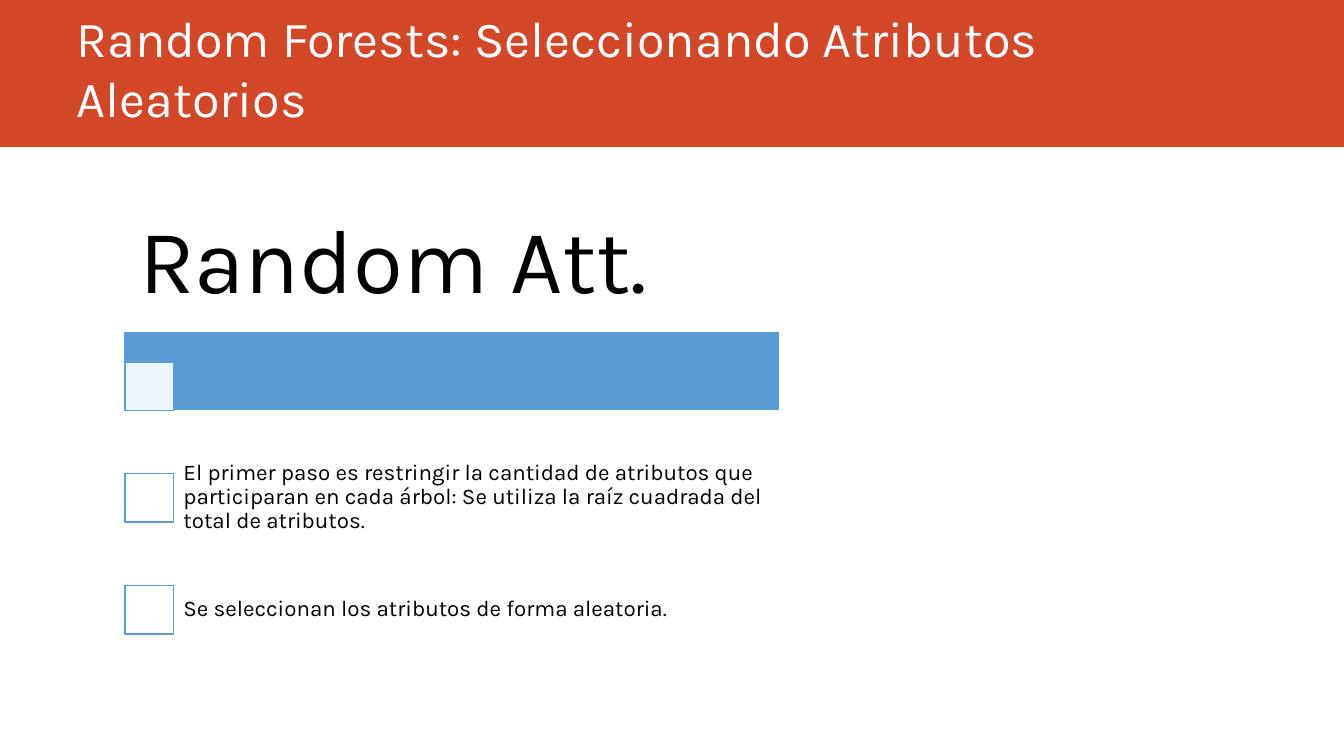
import dataclasses

import lxml.etree
import pptx
import pptx.dml.color
import pptx.enum.shapes
import pptx.enum.text
import pptx.oxml.ns
import pptx.util

PX = 9144
FONT = "Karla"
HUES = {
    "band": "D24726",
    "blue": "5B9BD5",
    "white": "FFFFFF",
    "black": "000000",
}


@dataclasses.dataclass
class Box:
    x: int
    y: int
    w: int
    h: int

    def emu(self) -> list[int]:
        return [n * PX for n in (self.x, self.y, self.w, self.h)]


@dataclasses.dataclass
class Rect:
    box: Box
    fill: str
    line: str | None = "blue"
    alpha: int = 100


def tint(name: str) -> pptx.dml.color.RGBColor:
    return pptx.dml.color.RGBColor.from_string(HUES[name])


def draw(slide, rect: Rect):
    shape = slide.shapes.add_shape(
        pptx.enum.shapes.MSO_SHAPE.RECTANGLE, *rect.box.emu())
    shape.shadow.inherit = False
    shape.fill.solid()
    shape.fill.fore_color.rgb = tint(rect.fill)
    if rect.alpha < 100:
        qn = pptx.oxml.ns.qn
        color = shape._element.spPr.find(qn("a:solidFill")).find(qn("a:srgbClr"))
        lxml.etree.SubElement(color, qn("a:alpha"), val=str(rect.alpha * 1000))
    if rect.line:
        shape.line.color.rgb = tint(rect.line)
        shape.line.width = pptx.util.Pt(1)
    else:
        shape.line.fill.background()
    return shape


def write(shape, text: str, *, size: int, hue: str = "black",
          anchor: str = "MIDDLE", pad: tuple[int, int] = (10, 5),
          gap: float = 1.0, after: float = 0) -> None:
    frame = shape.text_frame
    frame.text = text
    frame.word_wrap = True
    frame.auto_size = pptx.enum.text.MSO_AUTO_SIZE.NONE
    frame.vertical_anchor = pptx.enum.text.MSO_ANCHOR[anchor]
    frame.margin_left = frame.margin_right = pad[0] * PX
    frame.margin_top = frame.margin_bottom = pad[1] * PX
    para = frame.paragraphs[0]
    para.alignment = pptx.enum.text.PP_ALIGN.LEFT
    para.line_spacing = gap
    para.space_after = pptx.util.Pt(after)
    font = para.runs[0].font
    font.name = FONT
    font.size = pptx.util.Pt(size)
    font.color.rgb = tint(hue)


def label(slide, box: Box, text: str, *, size: int,
          pad: tuple[int, int]) -> None:
    shape = slide.shapes.add_textbox(*box.emu())
    write(shape, text, size=size, pad=pad, gap=0.9, after=size * 0.35)


def main() -> None:
    deck = pptx.Presentation()
    deck.slide_width = 1333 * PX
    deck.slide_height = 750 * PX
    slide = deck.slides.add_slide(deck.slide_layouts[5])

    draw(slide, Rect(Box(0, 0, 1333, 146), "band", None))
    title = slide.shapes.title
    slide.shapes._spTree.append(title._element)
    title.left, title.top, title.width, title.height = Box(66, 0, 1176, 132).emu()
    write(title, "Random Forests: Seleccionando Atributos Aleatorios",
          size=36, hue="white", anchor="BOTTOM")

    left, side = 124, 48
    draw(slide, Rect(Box(left, 330, 648, 76), "blue"))
    draw(slide, Rect(Box(left, 359, side, side), "white", alpha=90))
    label(slide, Box(left, 193, 648, 137), "Random Att.", size=65, pad=(14, 9))

    steps = [
        "El primer paso es restringir la cantidad de atributos que participaran "
        "en cada árbol: Se utiliza la raíz cuadrada del total de atributos.",
        "Se seleccionan los atributos de forma aleatoria.",
    ]
    top, row = 438, 111
    for i, text in enumerate(steps):
        y = top + i * row
        draw(slide, Rect(Box(left, y + (row - side) // 2 + 1, side, side), "white"))
        label(slide, Box(170, y, 603, row), text, size=16, pad=(12, 12))

    deck.save("out.pptx")


if __name__ == "__main__":
    main()
